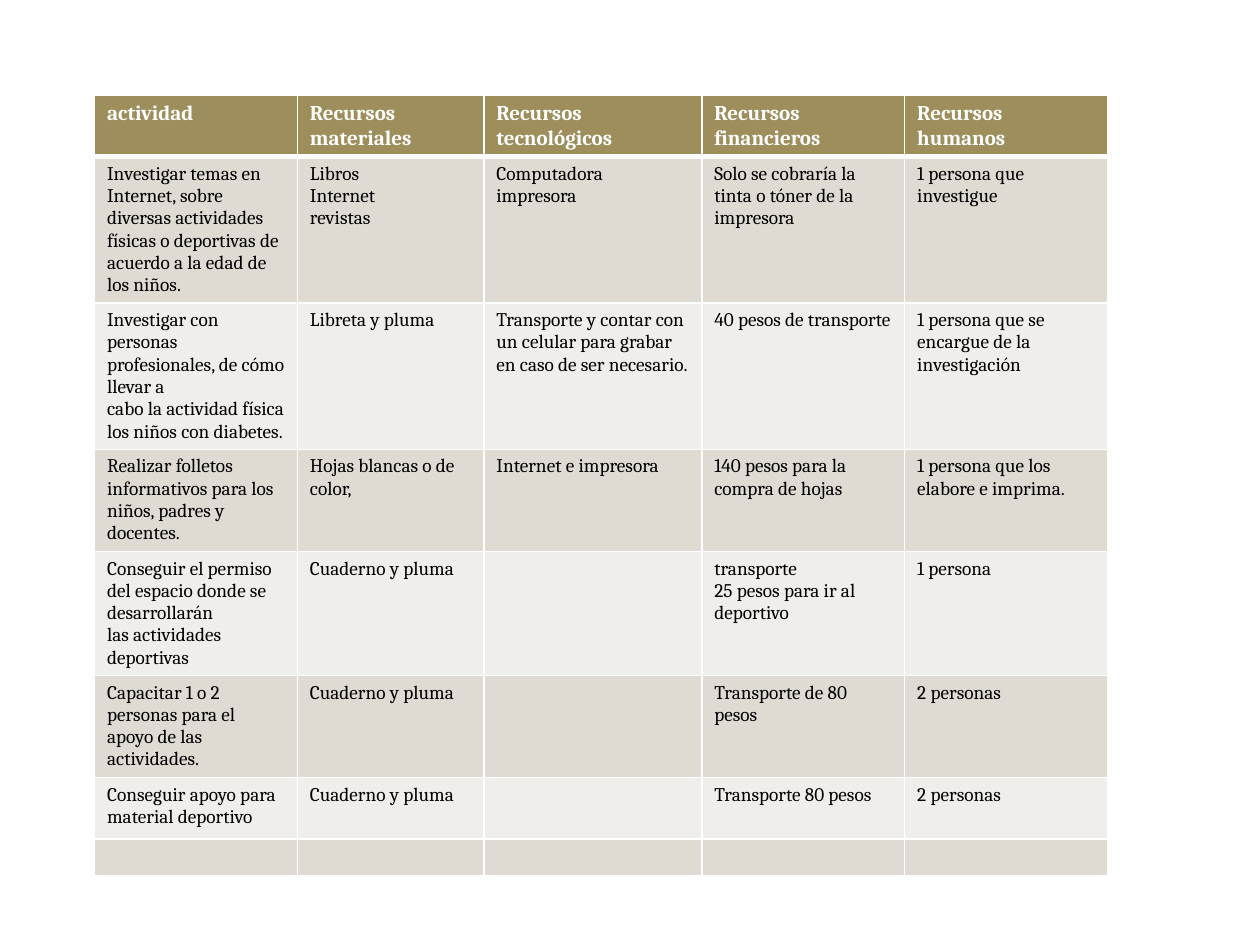
from lxml import etree
from pptx import Presentation
from pptx.dml.color import RGBColor
from pptx.oxml.ns import qn
from pptx.util import Inches, Pt

FONT = "Cambria"
WHITE = "FFFFFF"
HEADER_FILL = "9E8E5C"
BAND_FILLS = ("DFDBD2", "F0EEEA")
HEADER_FORMAT = {"name": FONT, "size": Pt(12), "bold": True}
BODY_FORMAT = {"name": FONT, "size": Pt(11), "bold": False}

LEFT, TOP = 0.75, 0.76
COLUMN_WIDTHS = (1.61, 1.48, 1.73, 1.61, 1.61)
ROW_HEIGHTS = (0.48, 1.16, 1.16, 0.81, 0.98, 0.81, 0.49, 0.28)

# A line break inside a cell starts a new paragraph.
ROWS = [
    ("actividad", "Recursos materiales", "Recursos\ntecnológicos",
     "Recursos financieros", "Recursos humanos"),
    ("Investigar temas en Internet, sobre diversas actividades\n"
     "físicas o deportivas de acuerdo a la edad de los niños.",
     "Libros\nInternet\nrevistas", "Computadora\nimpresora",
     "Solo se cobraría la tinta o tóner de la impresora",
     "1 persona que investigue"),
    ("Investigar con personas profesionales, de cómo llevar a\n"
     "cabo la actividad física los niños con diabetes.",
     "Libreta y pluma",
     "Transporte y contar con un celular para grabar en caso de ser necesario.",
     "40 pesos de transporte",
     "1 persona que se encargue de la investigación"),
    ("Realizar folletos informativos para los niños, padres y docentes.",
     "Hojas blancas o de color,", "Internet e impresora",
     "140 pesos para la compra de hojas",
     "1 persona que los elabore e imprima."),
    ("Conseguir el permiso del espacio donde se desarrollarán\n"
     "las actividades deportivas",
     "Cuaderno y pluma", "",
     "transporte\n25 pesos para ir al deportivo", "1 persona"),
    ("Capacitar 1 o 2 personas para el apoyo de las actividades.",
     "Cuaderno y pluma", "", "Transporte de 80 pesos", "2 personas"),
    ("Conseguir apoyo para material deportivo",
     "Cuaderno y pluma", "", "Transporte 80 pesos", "2 personas"),
    ("",) * 5,
]


def color(value):
    """Turn a hex string into a colour."""
    return RGBColor.from_string(value)


def set_borders(cell, widths):
    """Draw white borders; widths maps a side tag to points."""
    properties = cell._tc.get_or_add_tcPr()
    for position, (side, width) in enumerate(widths.items()):
        line = etree.Element(qn(f"a:{side}"), w=str(Pt(width)))
        fill = etree.SubElement(line, qn("a:solidFill"))
        etree.SubElement(fill, qn("a:srgbClr"), val=WHITE)
        properties.insert(position, line)


def write_text(cell, text, text_format, text_color):
    """Write one paragraph per line, or size the empty cell's paragraph."""
    frame = cell.text_frame
    if not text:
        etree.SubElement(frame.paragraphs[0]._p, qn("a:endParaRPr"),
                         sz=str(int(text_format["size"].pt * 100)))
        return
    frame.text = text
    for para in frame.paragraphs:
        for span in para.runs:
            for name, value in text_format.items():
                setattr(span.font, name, value)
            span.font.color.rgb = color(text_color)


def fill_cell(cell, text, row):
    """Apply fill, borders and text according to the row."""
    is_header = row == 0
    fill = HEADER_FILL if is_header else BAND_FILLS[(row - 1) % 2]
    cell.fill.solid()
    cell.fill.fore_color.rgb = color(fill)
    set_borders(cell, {"lnL": 1, "lnR": 1,
                       "lnT": 3 if row == 1 else 1,
                       "lnB": 3 if is_header else 1})
    write_text(cell, text, HEADER_FORMAT if is_header else BODY_FORMAT,
               WHITE if is_header else "000000")


def add_resource_table(page):
    """Add the table of activities and resources."""
    table = page.shapes.add_table(
        len(ROWS), len(COLUMN_WIDTHS), Inches(LEFT), Inches(TOP),
        Inches(sum(COLUMN_WIDTHS)), Inches(sum(ROW_HEIGHTS))).table
    for column, width in zip(table.columns, COLUMN_WIDTHS):
        column.width = Inches(width)
    for row, (texts, height) in enumerate(zip(ROWS, ROW_HEIGHTS)):
        table.rows[row].height = Inches(height)
        for column, text in enumerate(texts):
            fill_cell(table.cell(row, column), text, row)


deck = Presentation()
deck.slide_width, deck.slide_height = Inches(10), Inches(7.5)
add_resource_table(deck.slides.add_slide(deck.slide_layouts[6]))
deck.save("out.pptx")
